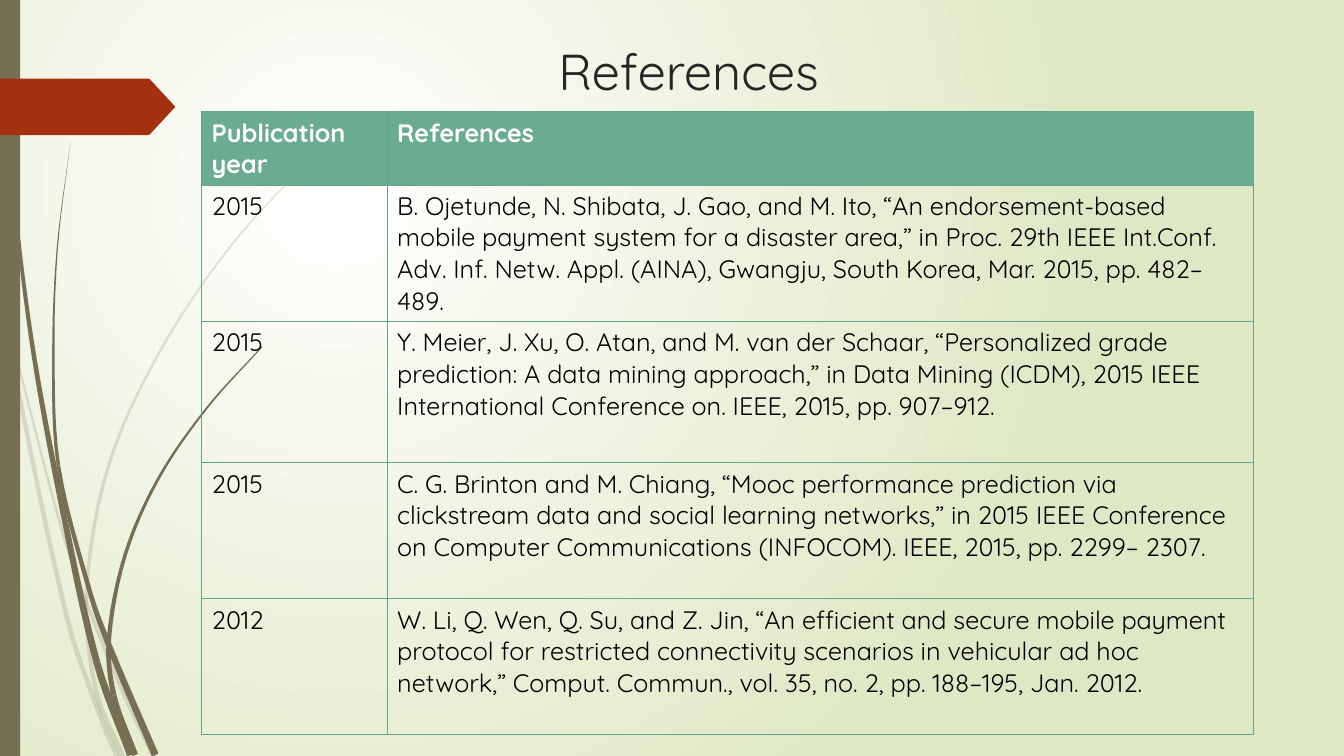
from dataclasses import dataclass
from itertools import pairwise
from math import dist

from lxml.etree import SubElement
from pptx import Presentation
from pptx.dml.color import RGBColor
from pptx.enum.shapes import MSO_SHAPE
from pptx.oxml.ns import qn
from pptx.util import Pt

PX = 9144  # EMU in one px, 100 px to the inch
STEPS = 6
FONT = "Quicksand"
INK = {
    "white": "FFFFFF", "lime": "DFE8C4", "olive": "766F54", "rust": "A53010",
    "teal": "6AAC91", "edge": "65A48B", "title": "262626", "black": "000000",
}
Point = tuple[float, float]


@dataclass
class Blade:
    """A blade of grass from tip to foot, cut into parts at some knots."""
    tip: int
    foot: int
    knots: list[Point]
    cuts: list[int]


@dataclass
class Tuft:
    alpha: int
    blades: list[Blade]


@dataclass
class Row:
    year: str
    work: str
    high: int
    head: bool = False


TUFTS = [
    Tuft(20, [
        Blade(4, 5, [(0, 290), (13, 362), (67, 615), (100, 712), (117, 751)], [1, 3]),
        Blade(2, 5, [(14, 345), (60, 521), (86, 598), (125, 693), (153, 751)], [2]),
        Blade(1, 5, [(312, 153), (229, 244), (159, 348), (108, 461), (86, 585),
                     (95, 684), (122, 751)], [4, 5]),
    ]),
    Tuft(100, [
        Blade(1, 8, [(3, 0), (8, 110), (18, 233), (34, 355), (59, 490),
                     (96, 657), (130, 749)], [4, 5]),
        Blade(0, 7, [(70, 141), (57, 245), (53, 349), (58, 462), (90, 590),
                     (110, 645), (154, 749)], [3, 5]),
        Blade(1, 6, [(260, 344), (205, 405), (157, 475), (124, 551), (108, 635),
                     (113, 690), (134, 749)], [4, 5]),
    ]),
]
ARROW = [(0, 78), (148, 78), (174, 106), (148, 134), (0, 134)]
COLS = [184, 859]
ROWS = [
    Row("Publication year", "References", 72, head=True),
    Row("2015", "B. Ojetunde, N. Shibata, J. Gao, and M. Ito, “An endorsement-based mobile "
        "payment system for a disaster area,” in Proc. 29th IEEE Int.Conf. Adv. Inf. Netw. "
        "Appl. (AINA), Gwangju, South Korea, Mar. 2015, pp. 482–489.", 135),
    Row("2015", "Y. Meier, J. Xu, O. Atan, and M. van der Schaar, “Personalized grade "
        "prediction: A data mining approach,” in Data Mining (ICDM), 2015 IEEE "
        "International Conference on. IEEE, 2015, pp. 907–912.", 140),
    Row("2015", "C. G. Brinton and M. Chiang, “Mooc performance prediction via clickstream "
        "data and social learning networks,” in 2015 IEEE Conference on Computer "
        "Communications (INFOCOM). IEEE, 2015, pp. 2299– 2307.", 135),
    Row("2012", "W. Li, Q. Wen, Q. Su, and Z. Jin, “An efficient and secure mobile payment "
        "protocol for restricted connectivity scenarios in vehicular ad hoc network,” "
        "Comput. Commun., vol. 35, no. 2, pp. 188–195, Jan. 2012.", 135),
]


def shade(name: str) -> RGBColor:
    return RGBColor.from_string(INK[name])


def write(frame, text: str, *, size: int, color: str, bold: bool = False) -> None:
    frame.word_wrap = True
    run = frame.paragraphs[0].add_run()
    run.text = text
    run.font.name, run.font.size, run.font.bold = FONT, Pt(size), bold
    run.font.color.rgb = shade(color)


def paint(shape, color: str, alpha: int = 100) -> None:
    shape.shadow.inherit = False
    shape.line.fill.background()
    shape.fill.solid()
    shape.fill.fore_color.rgb = shade(color)
    if alpha < 100:
        tint = shape._element.spPr.find(".//" + qn("a:srgbClr"))
        SubElement(tint, qn("a:alpha"), val=str(alpha * 1000))


def slopes(knots: list[Point]) -> list[Point]:
    """Give the direction of travel at each knot."""
    ways = []
    for i, knot in enumerate(knots):
        prev, then = knots[max(i - 1, 0)], knots[min(i + 1, len(knots) - 1)]
        span = dist(prev, knot) + dist(knot, then)
        ways.append(((then[0] - prev[0]) / span, (then[1] - prev[1]) / span))
    return ways


def smooth(knots: list[Point]) -> list[Point]:
    """Sample a smooth curve that runs through all knots."""
    curve = [knots[0]]
    for (a, u), (b, v) in pairwise(zip(knots, slopes(knots))):
        gap = dist(a, b)
        for step in range(1, STEPS + 1):
            t = step / STEPS
            s = 1 - t
            curve.append(tuple(
                s * s * (1 + 2 * t) * a[k] + t * t * (3 - 2 * t) * b[k]
                + gap * s * t * (s * u[k] - t * v[k])
                for k in (0, 1)))
    return curve


def outline(shapes, points: list[Point], color: str, alpha: int = 100) -> None:
    spots = [(round(x * PX), round(y * PX)) for x, y in points]
    pen = shapes.build_freeform(*spots[0])
    pen.add_line_segments(spots[1:], close=True)
    paint(pen.convert_to_shape(), color, alpha)


def grow(shapes, blade: Blade, alpha: int) -> None:
    """Draw a blade that widens evenly from tip to foot."""
    curve = smooth(blade.knots)
    last = len(curve) - 1
    left, right = [], []
    for i, ((x, y), (u, v)) in enumerate(zip(curve, slopes(curve))):
        half = (blade.tip + (blade.foot - blade.tip) * i / last) / 2
        left.append((x - v * half, y + u * half))
        right.append((x + v * half, y - u * half))
    for a, b in pairwise([0, *(cut * STEPS for cut in blade.cuts), last]):
        outline(shapes, left[a:b + 1] + right[a:b + 1][::-1], "olive", alpha)


def border(cell) -> None:
    props = cell._tc.get_or_add_tcPr()
    for side in ("lnL", "lnR", "lnT", "lnB"):
        line = SubElement(props, qn("a:" + side), w=str(Pt(0.75)))
        fill = SubElement(line, qn("a:solidFill"))
        SubElement(fill, qn("a:srgbClr"), val=INK["edge"])


def backdrop(slide) -> None:
    """Fill the slide with a round glow centred in its upper left."""
    fill = slide.background.fill
    fill.gradient()
    for stop, name in zip(fill.gradient_stops, ("white", "lime")):
        stop.color.rgb = shade(name)
    grad = slide._element.find(".//" + qn("a:gradFill"))
    grad.remove(grad.find(qn("a:lin")))
    glow = SubElement(grad, qn("a:path"), {"path": "circle"})
    SubElement(glow, qn("a:fillToRect"), l="50000", t="50000", r="100000", b="100000")


def grid(slide) -> None:
    high = sum(row.high for row in ROWS)
    table = slide.shapes.add_table(len(ROWS), len(COLS), 200 * PX, 111 * PX,
                                   sum(COLS) * PX, high * PX).table
    table.horz_banding = False
    for col, wide in zip(table.columns, COLS):
        col.width = wide * PX
    for line, row in zip(table.rows, ROWS):
        line.height = row.high * PX
        for cell, text in zip(line.cells, (row.year, row.work)):
            border(cell)
            if row.head:
                cell.fill.solid()
                cell.fill.fore_color.rgb = shade("teal")
            else:
                cell.fill.background()
            write(cell.text_frame, text, size=18, bold=row.head,
                  color="white" if row.head else "black")


def main() -> None:
    deck = Presentation()
    deck.slide_width, deck.slide_height = 1333 * PX, 750 * PX
    slide = deck.slides.add_slide(deck.slide_layouts[6])
    backdrop(slide)
    for tuft in TUFTS:
        group = slide.shapes.add_group_shape()
        for blade in tuft.blades:
            grow(group.shapes, blade, tuft.alpha)
    bar = slide.shapes.add_shape(MSO_SHAPE.RECTANGLE, 0, 0, 20 * PX, 750 * PX)
    paint(bar, "olive")
    outline(slide.shapes, ARROW, "rust")
    grid(slide)
    title = slide.shapes.add_textbox(544 * PX, 35 * PX, 412 * PX, 90 * PX)
    write(title.text_frame, "References", size=36, color="title")
    deck.save("out.pptx")


if __name__ == "__main__":
    main()
